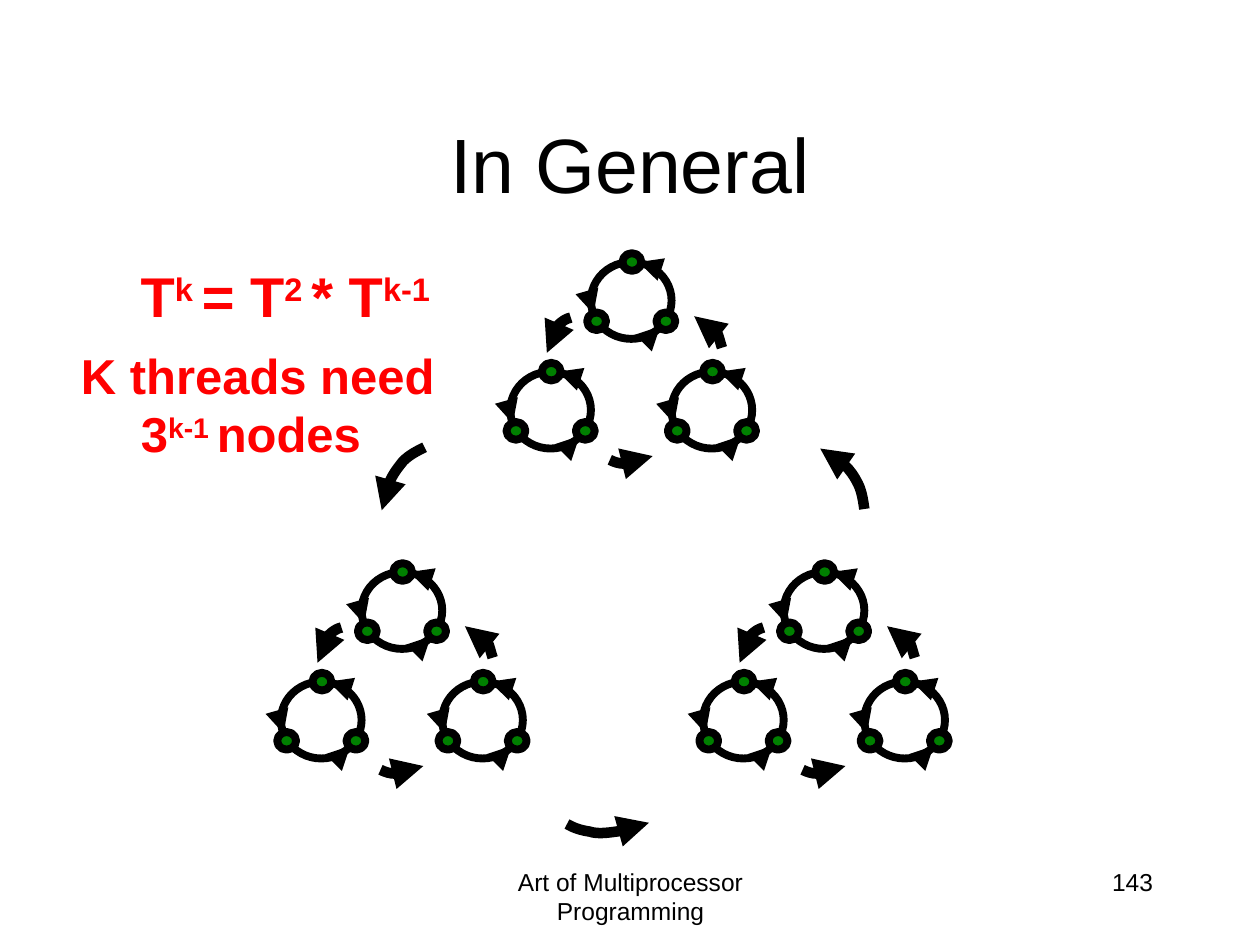
from dataclasses import dataclass

from lxml.etree import SubElement
from pptx import Presentation
from pptx.dml.color import RGBColor
from pptx.enum.shapes import MSO_CONNECTOR, MSO_SHAPE
from pptx.enum.text import MSO_ANCHOR, MSO_AUTO_SIZE, PP_ALIGN
from pptx.oxml.ns import qn
from pptx.util import Pt

PX = 9144  # 100 px to the inch


@dataclass(frozen=True)
class Theme:
    font: str = "Arial"
    ink: RGBColor = RGBColor(0, 0, 0)
    paper: RGBColor = RGBColor(255, 255, 255)
    accent: RGBColor = RGBColor(255, 0, 0)
    node: RGBColor = RGBColor(0, 128, 0)
    title_size: int = 44
    formula_size: int = 32
    claim_size: int = 28
    footer_size: int = 14
    ring_line: float = 4.5
    arc_line: float = 6


THEME = Theme()

NODE_SIZE = (15, 14)
NODES = [(28, 0), (55, 47), (0, 47)]
RING_BOX = (3, 7, 64, 61)
RING_ARROWS = [((3, 41), (5, 48)), ((53, 63), (58, 58)), ((50, 10), (41, 7))]

CLUSTER_LOWER_RINGS = [(0, 87), (128, 87)]
CLUSTER_TOP_RING = (64, 0)
CLUSTER_ARCS = [
    [(51, 51), (47, 52), (44, 54), (41, 57), (39, 59),
     (37, 63), (35, 66), (34, 70), (33, 74), (32, 79)],
    [(171, 75), (170, 72), (169, 68), (168, 65), (166, 61),
     (163, 59), (160, 56), (157, 54), (153, 52), (149, 50)],
    [(82, 164), (86, 166), (90, 167), (93, 167), (97, 168),
     (101, 167), (104, 166), (108, 165), (112, 163), (116, 161)],
]

LOWER_CLUSTERS = [(555, 447), (220, 447)]
TOP_CLUSTER = (402, 201)
OUTER_ARCS = [
    [(337, 355), (331, 358), (325, 361), (320, 366), (316, 371),
     (312, 376), (309, 383), (306, 389), (305, 397), (303, 405)],
    [(686, 404), (685, 397), (684, 390), (681, 384), (678, 378),
     (674, 372), (669, 368), (664, 363), (658, 359), (651, 356)],
    [(450, 654), (455, 657), (461, 659), (468, 660), (474, 662),
     (482, 661), (489, 660), (497, 659), (506, 656), (515, 653)],
]


def emu(*lengths):
    return [length * PX for length in lengths]


def add_runs(paragraph, runs, size, color, bold=False):
    """Add (text, baseline) runs; a baseline of 30 raises the text."""
    for text, baseline in runs:
        run = paragraph.add_run()
        run.text = text
        font = run.font
        font.name, font.size, font.bold = THEME.font, Pt(size), bold
        font.color.rgb = color
        if baseline:
            run._r.get_or_add_rPr().set("baseline", str(baseline * 1000))


def add_label(slide, box, runs, size, color, align, bold=False, wrap=True, grow=False):
    frame = slide.shapes.add_textbox(*emu(*box)).text_frame
    frame.word_wrap = wrap
    frame.auto_size = MSO_AUTO_SIZE.SHAPE_TO_FIT_TEXT if grow else MSO_AUTO_SIZE.NONE
    paragraph = frame.paragraphs[0]
    paragraph.alignment = align
    add_runs(paragraph, runs, size, color, bold)


def style_arrow(arrow, width):
    arrow.line.color.rgb = THEME.ink
    arrow.line.width = Pt(width)
    properties = arrow._element.spPr
    SubElement(properties.find(qn("a:ln")), qn("a:tailEnd"), type="triangle")
    SubElement(properties, qn("a:effectLst"))


def add_circle(shapes, box, fill):
    circle = shapes.add_shape(MSO_SHAPE.OVAL, *emu(*box))
    circle.shadow.inherit = False
    circle.fill.solid()
    circle.fill.fore_color.rgb = fill
    circle.line.color.rgb = THEME.ink
    circle.line.width = Pt(THEME.ring_line)


def add_arc(shapes, points, left=0, top=0):
    """Draw an arrow along a start point and triples of Bezier points."""
    start, *rest = [emu(left + x, top + y) for x, y in points]
    builder = shapes.build_freeform(*start, scale=1.0)
    builder.add_line_segments(rest, close=False)
    arc = builder.convert_to_shape()
    arc.fill.background()
    path = arc._element.find(".//" + qn("a:path"))
    segments = path.findall(qn("a:lnTo"))
    for first in range(0, len(segments), 3):
        curve = SubElement(path, qn("a:cubicBezTo"))
        for segment in segments[first:first + 3]:
            curve.append(segment[0])
            path.remove(segment)
    style_arrow(arc, THEME.arc_line)


def add_ring(shapes, left, top):
    x, y, width, height = RING_BOX
    add_circle(shapes, (left + x, top + y, width, height), THEME.paper)
    for x, y in NODES:
        add_circle(shapes, (left + x, top + y, *NODE_SIZE), THEME.node)
    for (x1, y1), (x2, y2) in RING_ARROWS:
        ends = emu(left + x1, top + y1, left + x2, top + y2)
        arrow = shapes.add_connector(MSO_CONNECTOR.STRAIGHT, *ends)
        style_arrow(arrow, THEME.ring_line)


def add_cluster(shapes, left, top):
    """Place three rings joined by three arcs."""
    for x, y in CLUSTER_LOWER_RINGS:
        add_ring(shapes, left + x, top + y)
    for points in CLUSTER_ARCS:
        add_arc(shapes, points, left, top)
    x, y = CLUSTER_TOP_RING
    add_ring(shapes, left + x, top + y)


def add_graph(slide):
    for clusters in (LOWER_CLUSTERS, [TOP_CLUSTER]):
        group = slide.shapes.add_group_shape()
        for left, top in clusters:
            add_cluster(group.shapes, left, top)
    for points in OUTER_ARCS:
        add_arc(slide.shapes, points)


def add_title(slide, box):
    title = slide.shapes.title
    title.left, title.top, title.width, title.height = emu(*box)
    title.text_frame.vertical_anchor = MSO_ANCHOR.MIDDLE
    paragraph = title.text_frame.paragraphs[0]
    paragraph.alignment = PP_ALIGN.CENTER
    add_runs(paragraph, [("In General", 0)], THEME.title_size, THEME.ink)


def add_footer(slide, top, height):
    for left, width, text, align in (
        (342, 317, "Art of Multiprocessor Programming", PP_ALIGN.CENTER),
        (717, 208, "143", PP_ALIGN.RIGHT),
    ):
        add_label(slide, (left, top, width, height), [(text, 0)],
                  THEME.footer_size, THEME.ink, align)


def main():
    deck = Presentation()
    deck.slide_width, deck.slide_height = emu(1000, 750)
    slide = deck.slides.add_slide(deck.slide_layouts.get_by_name("Title Only"))
    add_footer(slide, 683, 50)
    add_title(slide, (75, 67, 850, 125))
    formula = [("T", 0), ("k ", 30), ("= T", 0), ("2 ", 30), ("* T", 0), ("k-1", 30)]
    add_label(slide, (78, 203, 273, 64), formula, THEME.formula_size, THEME.accent,
              PP_ALIGN.RIGHT, bold=True, wrap=False, grow=True)
    add_graph(slide)
    claim = [("K threads need 3", 0), ("k-1 ", 30), ("nodes ", 0)]
    add_label(slide, (37, 269, 335, 103), claim, THEME.claim_size, THEME.accent,
              PP_ALIGN.CENTER, bold=True, grow=True)
    deck.save("out.pptx")


if __name__ == "__main__":
    main()
